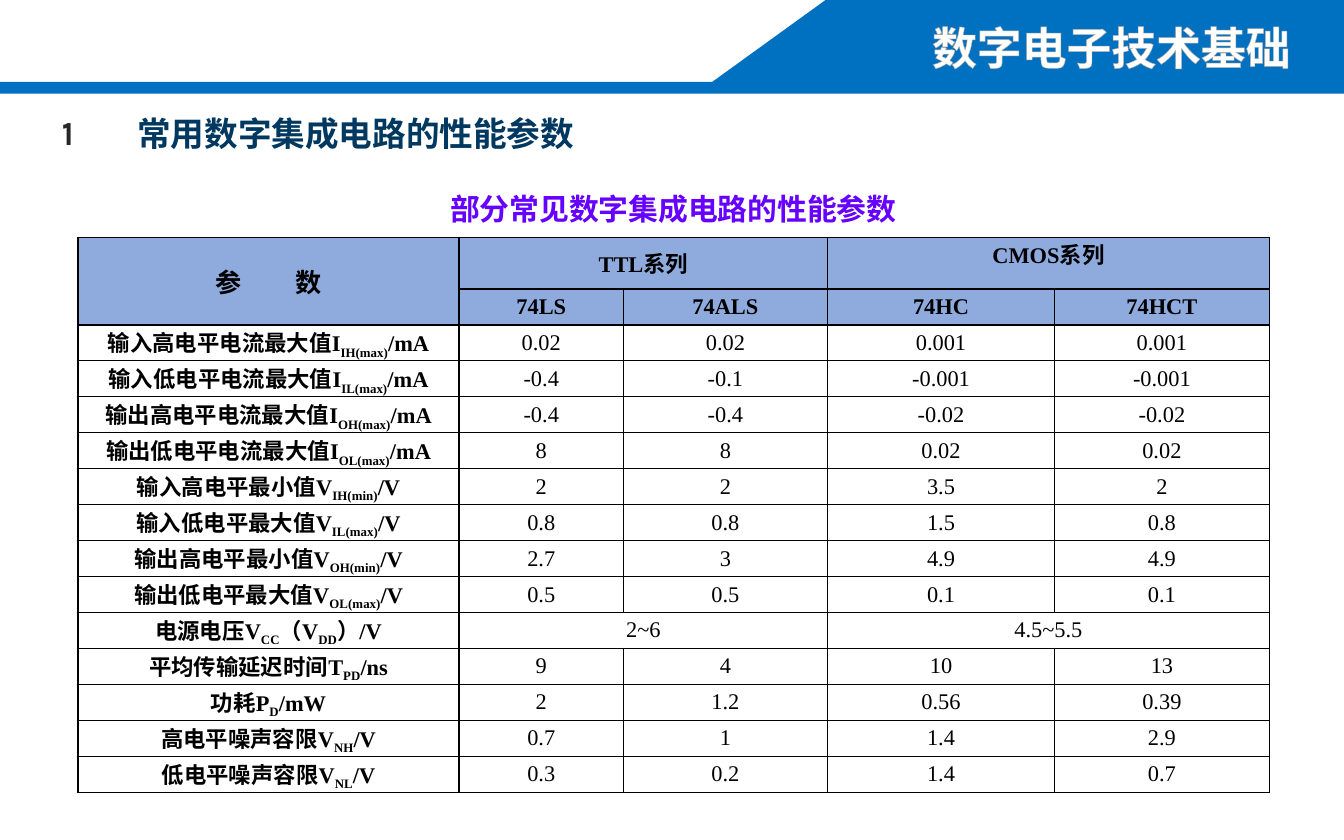
from dataclasses import dataclass

import pptx
import pptx.dml.color
import pptx.enum.shapes
import pptx.enum.text
import pptx.oxml
import pptx.oxml.ns
import pptx.util
from pptx.util import Cm

SANS = "Noto Sans CJK SC"
SERIF = "Times New Roman"
BLUE, BLACK, WHITE, HEADER = "0070C0", "000000", "FFFFFF", "8FAADC"
SHAPE = pptx.enum.shapes.MSO_SHAPE
ALIGN = pptx.enum.text.PP_ALIGN
ANCHOR = pptx.enum.text.MSO_ANCHOR
SIDES = ("a:lnL", "a:lnR", "a:lnT", "a:lnB")


@dataclass
class Frame:
    left: float
    top: float
    width: float
    height: float

    def lengths(self) -> tuple:
        return Cm(self.left), Cm(self.top), Cm(self.width), Cm(self.height)


@dataclass
class Style:
    size: float
    color: str = BLACK
    bold: bool = True
    latin: str = SERIF
    asian: str = SANS


@dataclass
class Parameter:
    label: str
    values: tuple


BANNER = [
    (SHAPE.RECTANGLE, Frame(0, 1.55, 25.4, 0.22)),
    (SHAPE.RECTANGLE, Frame(18.85, 0, 6.55, 1.55)),
    (SHAPE.FLOWCHART_DATA, Frame(13.46, 0, 10.72, 1.55)),
]
COLUMNS = (7.21, 3.1, 3.86, 4.29, 4.06)
ROWS = (1.14, 0.97) + (0.68,) * 14
FAMILIES = ("TTL系列", "CMOS系列")
SERIES = ("74LS", "74ALS", "74HC", "74HCT")
PARAMETERS = [
    Parameter("输入高电平电流最大值I_IH(max)_/mA", ("0.02", "0.02", "0.001", "0.001")),
    Parameter("输入低电平电流最大值I_IL(max)_/mA", ("-0.4", "-0.1", "-0.001", "-0.001")),
    Parameter("输出高电平电流最大值I_OH(max)_/mA", ("-0.4", "-0.4", "-0.02", "-0.02")),
    Parameter("输出低电平电流最大值I_OL(max)_/mA", ("8", "8", "0.02", "0.02")),
    Parameter("输入高电平最小值V_IH(min)_/V", ("2", "2", "3.5", "2")),
    Parameter("输入低电平最大值V_IL(max)_/V", ("0.8", "0.8", "1.5", "0.8")),
    Parameter("输出高电平最小值V_OH(min)_/V", ("2.7", "3", "4.9", "4.9")),
    Parameter("输出低电平最大值V_OL(max)_/V", ("0.5", "0.5", "0.1", "0.1")),
    Parameter("电源电压V_CC_（V_DD_）/V", ("2~6", "4.5~5.5")),
    Parameter("平均传输延迟时间T_PD_/ns", ("9", "4", "10", "13")),
    Parameter("功耗P_D_/mW", ("2", "1.2", "0.56", "0.39")),
    Parameter("高电平噪声容限V_NH_/V", ("0.7", "1", "1.4", "2.9")),
    Parameter("低电平噪声容限V_NL_/V", ("0.3", "0.2", "1.4", "0.7")),
]


def rgb(color: str) -> pptx.dml.color.RGBColor:
    return pptx.dml.color.RGBColor.from_string(color)


def line_xml(tag: str, color: str):
    return pptx.oxml.parse_xml(
        f'<{tag} {pptx.oxml.ns.nsdecls("a")} w="12700"><a:solidFill>'
        f'<a:srgbClr val="{color}"/></a:solidFill></{tag}>'
    )


def add_span(para, text: str, style: Style):
    span = para.add_run()
    span.text = text
    span.font.size = pptx.util.Pt(style.size)
    span.font.bold = style.bold
    span.font.name = style.latin
    span.font.color.rgb = rgb(style.color)
    asian = pptx.oxml.parse_xml(
        f'<a:ea {pptx.oxml.ns.nsdecls("a")} typeface="{style.asian}"/>'
    )
    span.font._element.find(pptx.oxml.ns.qn("a:latin")).addnext(asian)
    return span


def fill_box(box, frame: Frame, text: str, style: Style, align=ALIGN.LEFT, wrap=True):
    box.left, box.top, box.width, box.height = frame.lengths()
    text_frame = box.text_frame
    text_frame.word_wrap = wrap
    text_frame.auto_size = pptx.enum.text.MSO_AUTO_SIZE.NONE
    text_frame.vertical_anchor = ANCHOR.TOP
    para = text_frame.paragraphs[0]
    para.alignment = align
    return add_span(para, text, style)


def add_banner(page) -> None:
    for kind, frame in BANNER:
        shape = page.shapes.add_shape(kind, *frame.lengths())
        shape.shadow.inherit = False
        shape.fill.solid()
        shape.fill.fore_color.rgb = rgb(BLUE)
        shape.line.fill.background()


def add_headings(page) -> None:
    course = Frame(15.67, 0, 8.97, 1.55)
    box = page.shapes.add_textbox(*course.lengths())
    span = fill_box(box, course, "数字电子技术基础", Style(24, WHITE, latin=SANS), ALIGN.RIGHT)
    box.text_frame.paragraphs[0].line_spacing = 1.25
    span.font._element.insert(0, line_xml("a:ln", "AFABAB"))

    number = Frame(1.17, 2.11, 0.3, 0.76)
    box = page.shapes.add_textbox(*number.lengths())
    fill_box(box, number, "1", Style(18, "262626", latin="Karla"), wrap=False)
    frame = box.text_frame
    frame.margin_left = frame.margin_right = frame.margin_top = frame.margin_bottom = 0

    title = Frame(2.34, 2.01, 10.36, 1.02)
    fill_box(page.shapes.title, title, "常用数字集成电路的性能参数", Style(18, "003860", latin=SANS))


def format_cell(cell, fill: str, borders: tuple = (BLACK,) * 4, margin: float = 0) -> None:
    cell.fill.solid()
    cell.fill.fore_color.rgb = rgb(fill)
    cell.vertical_anchor = ANCHOR.MIDDLE
    cell.margin_left = cell.margin_right = Cm(margin)
    cell.margin_top = cell.margin_bottom = 0
    properties = cell._tc.get_or_add_tcPr()
    for index, (side, color) in enumerate(zip(SIDES, borders)):
        properties.insert(index, line_xml(side, color))


def write_cell(cell, text: str, style: Style) -> None:
    para = cell.text_frame.paragraphs[0]
    para.alignment = ALIGN.CENTER
    for index, part in enumerate(text.split("_")):
        span = add_span(para, part, style)
        if index % 2:
            span.font._element.set("baseline", "-25000")


def add_parameter_table(page) -> None:
    place = Frame(1.47, 3.35, sum(COLUMNS), sum(ROWS))
    table = page.shapes.add_table(len(ROWS), len(COLUMNS), *place.lengths()).table
    table.first_row = table.horz_banding = False
    for column, width in zip(table.columns, COLUMNS):
        column.width = Cm(width)
    for row, height in zip(table.rows, ROWS):
        row.height = Cm(height)
    for row in range(len(ROWS)):
        for column in range(len(COLUMNS)):
            fill = HEADER if row in (1, 2) else WHITE
            borders = (WHITE, WHITE, WHITE, BLACK) if row == 0 else (BLACK,) * 4
            format_cell(table.cell(row, column), fill, borders, 0.08 if column > 1 else 0)

    strong, plain = Style(12), Style(12, bold=False)
    table.cell(0, 0).merge(table.cell(0, 4))
    write_cell(table.cell(0, 0), "部分常见数字集成电路的性能参数", Style(16, "6600FF", latin=SANS))
    table.cell(1, 0).merge(table.cell(2, 0))
    corner = table.cell(1, 0).text_frame.paragraphs[0]
    corner.alignment = ALIGN.CENTER
    for text in ("参", " ", "数"):
        span = add_span(corner, text, Style(14))
        if text == " ":
            span.font._element.set("spc", "2550")
    for column, family in zip((1, 3), FAMILIES):
        table.cell(1, column).merge(table.cell(1, column + 1))
        write_cell(table.cell(1, column), family, strong)
    table.cell(1, 3).vertical_anchor = ANCHOR.TOP
    for column, series in enumerate(SERIES, 1):
        write_cell(table.cell(2, column), series, strong)
    for row, parameter in enumerate(PARAMETERS, 3):
        write_cell(table.cell(row, 0), parameter.label, strong)
        step = len(SERIES) // len(parameter.values)
        for index, value in enumerate(parameter.values):
            cell = table.cell(row, 1 + index * step)
            if step > 1:
                cell.merge(table.cell(row, index * step + step))
            write_cell(cell, value, plain)


def main() -> None:
    deck = pptx.Presentation()
    deck.slide_width, deck.slide_height = Cm(25.4), Cm(15.88)
    page = deck.slides.add_slide(deck.slide_layouts[5])
    add_banner(page)
    add_headings(page)
    add_parameter_table(page)
    deck.save("out.pptx")


if __name__ == "__main__":
    main()
